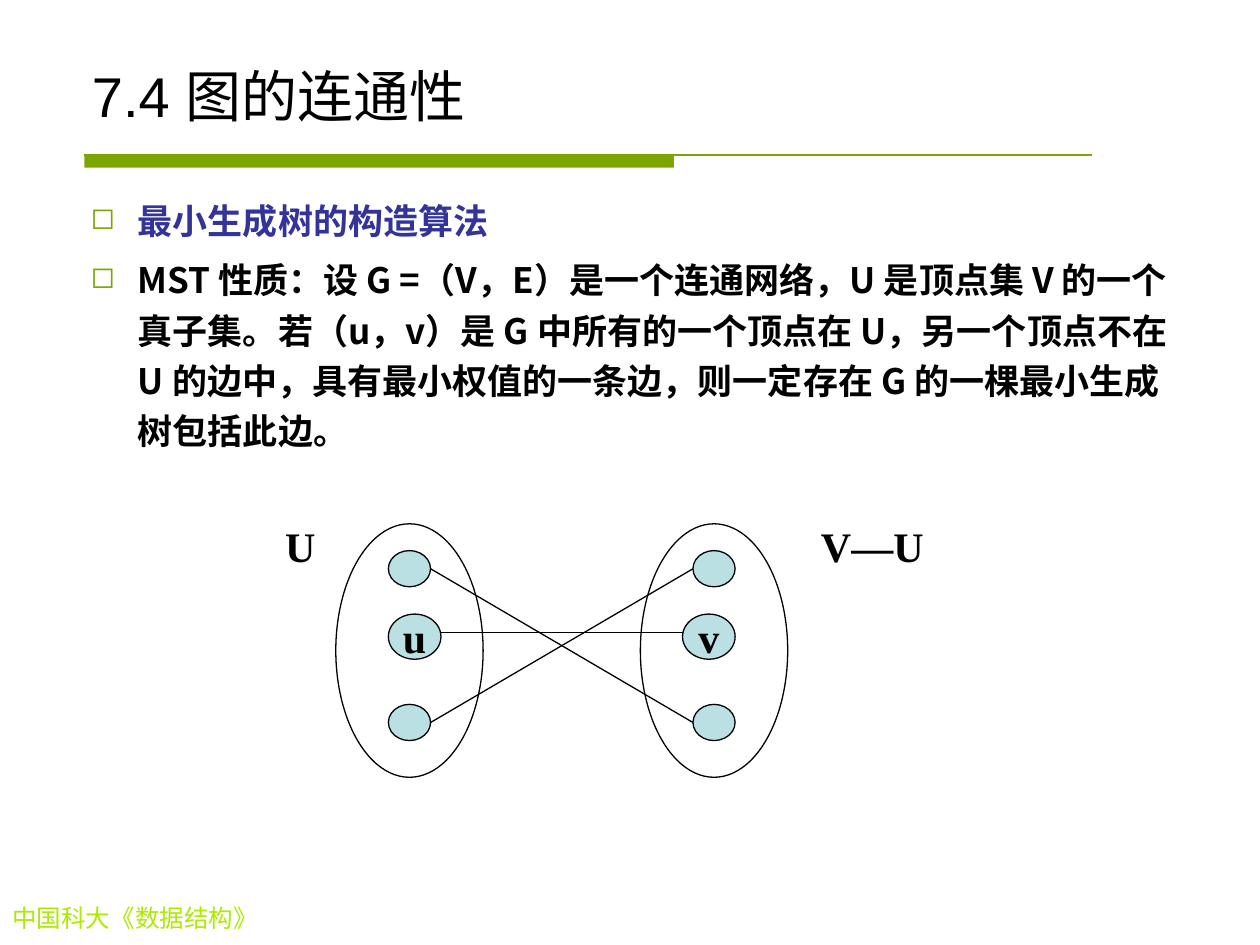
from collections import namedtuple
from dataclasses import dataclass

from lxml import etree
from pptx import Presentation
from pptx import util as u
from pptx.dml.color import RGBColor
from pptx.enum import shapes, text
from pptx.oxml import ns

Box = namedtuple("Box", "left top width height")


@dataclass(frozen=True)
class Theme:
    black: str = "000000"
    accent: str = "7BA600"
    footer: str = "ADEA00"
    heading: str = "333399"
    node: str = "BBE0E3"
    sans: str = "Arial"
    serif: str = "Times New Roman"
    chinese: str = "Noto Sans CJK SC"
    symbol: str = "OpenSymbol"
    title_size: int = 32
    label_size: int = 24
    body_size: int = 20
    footer_size: int = 14
    line_width: float = 0.75
    rule_width: float = 1


THEME = Theme()


def cm_box(box):
    return [u.Cm(value) for value in box]


def add_span(para, words, size, font, color=THEME.black, bold=False):
    span = para.add_run()
    span.text = words
    span.font.size = u.Pt(size)
    span.font.name = font
    span.font.bold = bold
    span.font.color.rgb = RGBColor.from_string(color)
    east_asian = etree.SubElement(span.font._element, ns.qn("a:ea"))
    east_asian.set("typeface", THEME.chinese)


def add_text_box(page, box):
    frame = page.shapes.add_textbox(*cm_box(box)).text_frame
    frame.word_wrap = True
    return frame


def add_line(page, x1, y1, x2, y2, color=THEME.black, width=THEME.line_width):
    line = page.shapes.add_connector(
        shapes.MSO_CONNECTOR.STRAIGHT, *cm_box((x1, y1, x2, y2)))
    line.line.color.rgb = RGBColor.from_string(color)
    line.line.width = u.Pt(width)
    etree.SubElement(line._element.spPr, ns.qn("a:effectLst"))


def add_ellipse(page, box, fill=None):
    ellipse = page.shapes.add_shape(shapes.MSO_SHAPE.OVAL, *cm_box(box))
    ellipse.shadow.inherit = False
    if fill:
        ellipse.fill.solid()
        ellipse.fill.fore_color.rgb = RGBColor.from_string(fill)
    else:
        ellipse.fill.background()
    ellipse.line.color.rgb = RGBColor.from_string(THEME.black)
    ellipse.line.width = u.Pt(THEME.line_width)
    return ellipse


def set_bullet(para):
    props = para._p.get_or_add_pPr()
    props.set("marL", str(u.Cm(0.95)))
    props.set("indent", str(-u.Cm(0.95)))
    color = etree.SubElement(props, ns.qn("a:buClr"))
    etree.SubElement(color, ns.qn("a:srgbClr")).set("val", THEME.accent)
    etree.SubElement(props, ns.qn("a:buSzPct")).set("val", "85000")
    etree.SubElement(props, ns.qn("a:buFont")).set("typeface", THEME.symbol)
    etree.SubElement(props, ns.qn("a:buChar")).set("char", "◻")


def build_title(page, box):
    title = page.shapes.title
    title.left, title.top, title.width, title.height = cm_box(box)
    frame = title.text_frame
    frame.auto_size = text.MSO_AUTO_SIZE.NONE
    frame.vertical_anchor = text.MSO_ANCHOR.BOTTOM
    para = frame.paragraphs[0]
    para.alignment = text.PP_ALIGN.LEFT
    add_span(para, "7.4 图的连通性", THEME.title_size, THEME.sans)


def build_rule(page, box):
    # Thick bar under the title, continued by a thin line
    bar = page.shapes.add_shape(
        shapes.MSO_SHAPE.RECTANGLE,
        *cm_box(box._replace(width=box.width * 0.585)))
    bar.shadow.inherit = False
    bar.fill.solid()
    bar.fill.fore_color.rgb = RGBColor.from_string(THEME.accent)
    bar.line.fill.background()
    add_line(page, box.left, box.top, box.left + box.width, box.top,
             THEME.accent, THEME.rule_width)


def build_body(page, box):
    frame = add_text_box(page, box)
    items = [
        ("最小生成树的构造算法", THEME.heading),
        ("MST 性质：设 G =（V，E）是一个连通网络，U 是顶点集 V 的一个真子集。"
         "若（u，v）是 G 中所有的一个顶点在 U，另一个顶点不在 U 的边中，"
         "具有最小权值的一条边，则一定存在 G 的一棵最小生成树包括此边。", THEME.black),
    ]
    for index, (words, color) in enumerate(items):
        para = frame.add_paragraph() if index else frame.paragraphs[0]
        set_bullet(para)
        para.line_spacing = 1.2
        if index:
            para.space_before = u.Pt(5)
        add_span(para, words, THEME.body_size, THEME.chinese, color, True)


def build_vertex_sets(page, box):
    set_width, set_height, set_top = 2.97, 5.11, box.top + 0.2
    small_width, small_height = 0.85, 0.73
    named_width, named_height, named_top = 1.06, 0.91, box.top + 2.02
    left_set, right_set = box.left + 1.27, box.left + 7.41
    left_node = left_set + 1.06
    right_node = right_set + 1.06
    right_named = right_node + small_width - named_width
    rows = [box.top + 0.74, box.top + 3.84]

    # The two vertex sets
    for left in (left_set, right_set):
        add_ellipse(page, Box(left, set_top, set_width, set_height))

    # Edges: u to v, then the two crossing ones
    edge_y = box.top + 2.39
    add_line(page, left_node + named_width, edge_y, right_named, edge_y)
    for start, end in (rows, rows[::-1]):
        add_line(page, left_node + small_width, start + small_height / 2,
                 right_node, end + small_height / 2)

    # Unnamed vertices
    for left in (left_node, right_node):
        for top in rows:
            add_ellipse(page, Box(left, top, small_width, small_height), THEME.node)

    # Vertices u and v
    for left, name in ((left_node, "u"), (right_named, "v")):
        node = add_ellipse(
            page, Box(left, named_top, named_width, named_height), THEME.node)
        frame = node.text_frame
        frame.word_wrap = False
        frame.vertical_anchor = text.MSO_ANCHOR.MIDDLE
        para = frame.paragraphs[0]
        para.alignment = text.PP_ALIGN.CENTER
        add_span(para, name, THEME.label_size, THEME.serif, bold=True)

    # Set labels
    for offset, width, name in ((0, 1.27, "U"), (10.8, 2.97, "V—U")):
        frame = add_text_box(page, Box(box.left + offset, box.top, width, 1.27))
        add_span(frame.paragraphs[0], name, THEME.label_size, THEME.serif, bold=True)


def build_footer(page, box):
    frame = add_text_box(page, box)
    add_span(frame.paragraphs[0], "中国科大《数据结构》",
             THEME.footer_size, THEME.serif, THEME.footer)


def main():
    deck = Presentation()
    deck.slide_width, deck.slide_height = u.Cm(25.4), u.Cm(19.05)
    page = deck.slides.add_slide(deck.slide_layouts.get_by_name("Title Only"))
    build_rule(page, Box(1.7, 3.12, 20.32, 0.26))
    build_footer(page, Box(0, 18.08, 7.9, 0.86))
    build_title(page, Box(1.6, 0.84, 22.22, 1.88))
    build_body(page, Box(1.58, 3.73, 22.22, 13.79))
    build_vertex_sets(page, Box(5.5, 10.36, 13.77, 5.31))
    deck.save("out.pptx")


if __name__ == "__main__":
    main()
